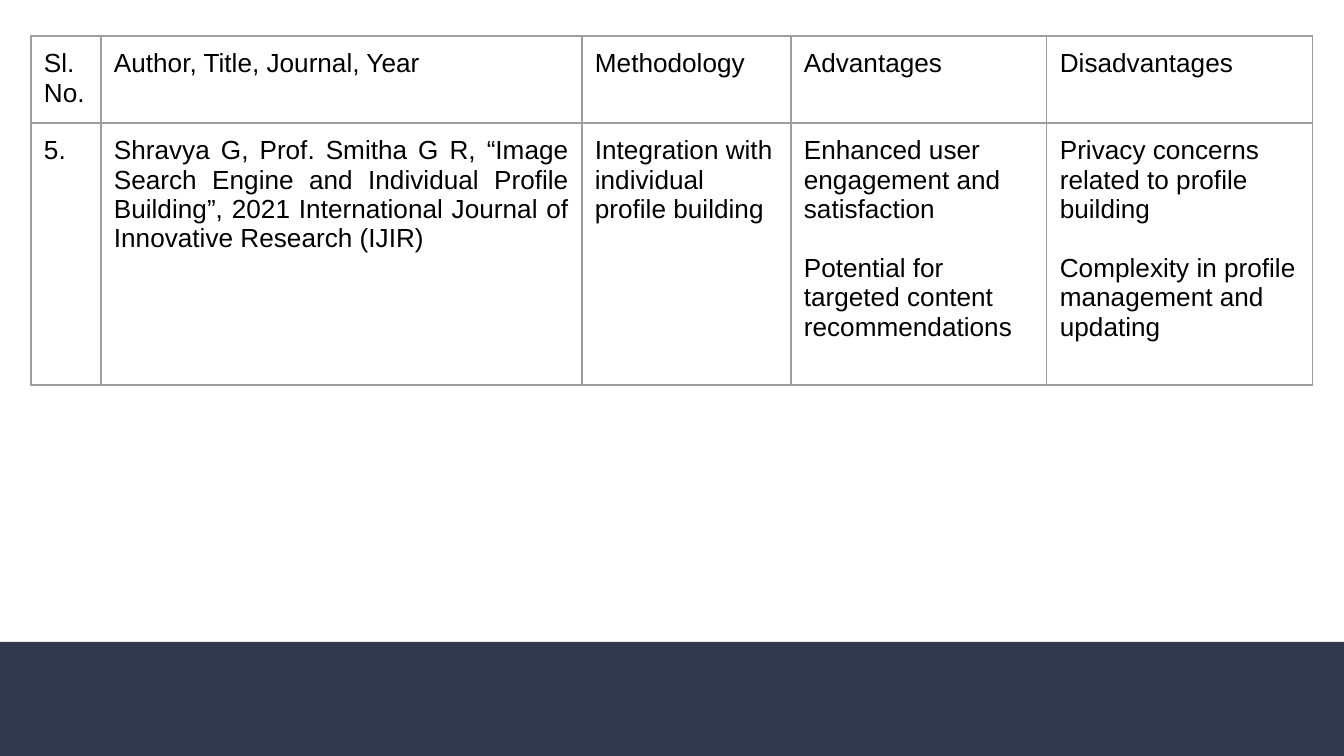
from pptx import Presentation
from pptx.dml.color import RGBColor
from pptx.enum.shapes import MSO_SHAPE as Shape
from pptx.enum.text import PP_ALIGN as Align
from pptx.oxml import parse_xml
from pptx.oxml.ns import nsdecls
from pptx.util import Emu, Pt

NAVY = RGBColor(0x31, 0x39, 0x4D)
GREY = RGBColor(0x9E, 0x9E, 0x9E)
BLACK = RGBColor(0, 0, 0)


def px(length):
    return Emu(round(length * 914400 / 134.4))


def add_borders(cell):
    properties = cell._tc.get_or_add_tcPr()
    for side in ("lnL", "lnR", "lnT", "lnB"):
        properties.append(parse_xml(
            f'<a:{side} {nsdecls("a")} w="{Pt(0.75)}"><a:solidFill>'
            f'<a:srgbClr val="{GREY}"/></a:solidFill></a:{side}>'))


column_widths = [70, 481, 209, 256, 266]
row_heights = [87, 262]
literature = [
    [["Sl. No."], ["Author, Title, Journal, Year"], ["Methodology"],
     ["Advantages"], ["Disadvantages"]],
    [["5."],
     ["Shravya G, Prof. Smitha G R, “Image Search Engine and Individual Profile "
      "Building”, 2021 International Journal of Innovative Research (IJIR)"],
     ["Integration with individual profile building"],
     ["Enhanced user engagement and satisfaction",
      "Potential for targeted content recommendations"],
     ["Privacy concerns related to profile building",
      "Complexity in profile management and updating"]],
]

prs = Presentation()
prs.slide_width, prs.slide_height = px(1344), px(756)
slide = prs.slides.add_slide(prs.slide_layouts[6])

footer_band = slide.shapes.add_shape(Shape.RECTANGLE, 0, px(642), px(1344), px(114))
footer_band.shadow.inherit = False
footer_band.fill.solid()
footer_band.fill.fore_color.rgb = NAVY
footer_band.line.fill.background()

survey = slide.shapes.add_table(
    len(row_heights), len(column_widths), px(31), px(36),
    px(sum(column_widths)), px(sum(row_heights))).table
survey.first_row = False
survey.horz_banding = False
for column, width in zip(survey.columns, column_widths):
    column.width = px(width)
for row, height, entries in zip(survey.rows, row_heights, literature):
    row.height = px(height)
    for cell, points in zip(row.cells, entries):
        add_borders(cell)
        cell.fill.background()
        cell.margin_left = cell.margin_right = px(13)
        cell.margin_top = cell.margin_bottom = px(13)
        cell.text = "\n".join(points)
        for index, paragraph in enumerate(cell.text_frame.paragraphs):
            if index:
                paragraph.space_before = Pt(16)
            paragraph.font.name = "Arial"
            paragraph.font.size = Pt(14)
            paragraph.font.color.rgb = BLACK

survey.cell(1, 1).text_frame.paragraphs[0].alignment = Align.JUSTIFY

prs.save("out.pptx")
